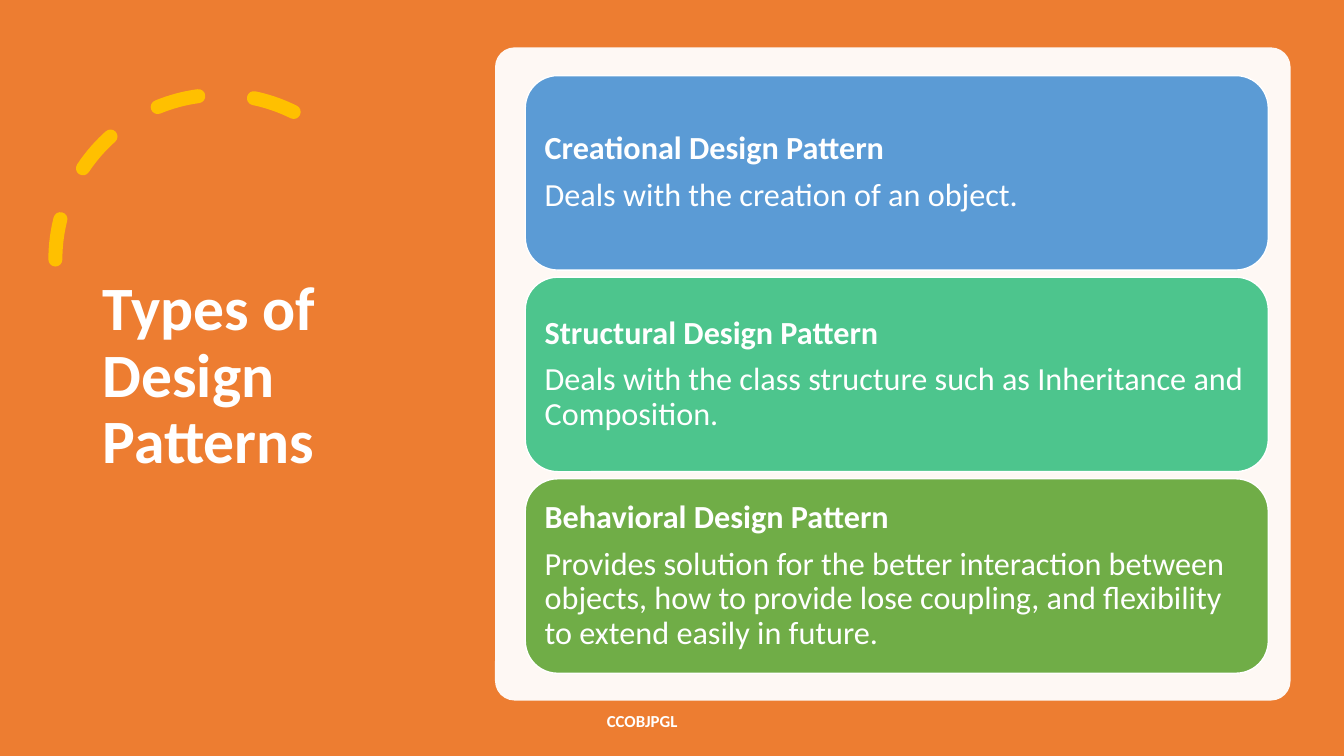
import pptx
import pptx.util
import pptx.dml.color
import pptx.enum.dml
import pptx.enum.shapes
import pptx.enum.text
import pptx.oxml
import pptx.oxml.ns
from dataclasses import dataclass

Inches, Pt = pptx.util.Inches, pptx.util.Pt
Shapes = pptx.enum.shapes.MSO_SHAPE

TITLE = "Types of Design Patterns"
FOOTER = "CCOBJPGL"
PATTERNS = [
    ("Creational Design Pattern", "Deals with the creation of an object.", "5B9BD5"),
    ("Structural Design Pattern",
     "Deals with the class structure such as Inheritance and Composition.", "4DC58D"),
    ("Behavioral Design Pattern",
     "Provides solution for the better interaction between objects, how to provide "
     "lose coupling, and flexibility to extend easily in future.", "70AD47"),
]


@dataclass(frozen=True)
class Theme:
    font: str = "Calibri"
    background: str = "ED7D31"
    accent: str = "FFC000"
    white: str = "FFFFFF"
    title_size: int = 44
    card_size: int = 23
    footer_size: int = 12


THEME = Theme()

PAGE_WIDTH, PAGE_HEIGHT = 13.33, 7.5
CARD_LEFT, CARD_TOP, CARD_WIDTH, CARD_HEIGHT = 5.21, 0.75, 7.37, 1.93
CARD_PITCH = 2.0


def color(value):
    return pptx.dml.color.RGBColor.from_string(value)


def add_filled(page, kind, place, fill):
    shape = page.shapes.add_shape(kind, *map(Inches, place))
    shape.shadow.inherit = False
    shape.fill.solid()
    shape.fill.fore_color.rgb = color(fill)
    shape.line.fill.background()
    return shape


def write(box, lines, size, line_spacing=1.0, space_after=0):
    """Fill a box with left-aligned paragraphs given as (text, bold) pairs."""
    frame = box.text_frame
    frame.word_wrap = True
    frame.vertical_anchor = pptx.enum.text.MSO_ANCHOR.MIDDLE
    for index, (text, bold) in enumerate(lines):
        para = frame.add_paragraph() if index else frame.paragraphs[0]
        para.text = text
        para.alignment = pptx.enum.text.PP_ALIGN.LEFT
        para.line_spacing = line_spacing
        para.space_after = Pt(space_after)
        para.font.name = THEME.font
        para.font.size = Pt(size)
        para.font.bold = bold
        para.font.color.rgb = color(THEME.white)


def add_dashed_arc(page):
    arc = page.shapes.add_shape(Shapes.ARC, *map(Inches, (0.55, 0.94, 3.27, 3.27)))
    arc.shadow.inherit = False
    arc.fill.background()
    arc.adjustments[0] = 146.13
    arc.adjustments[1] = 0
    arc._element.spPr.find(pptx.oxml.ns.qn("a:xfrm")).set("flipH", "1")
    arc.line.color.rgb = color(THEME.accent)
    arc.line.width = Pt(10)
    arc.line.dash_style = pptx.enum.dml.MSO_LINE.DASH
    arc.line._ln.set("cap", "rnd")


def add_panel(page):
    panel = add_filled(page, Shapes.ROUNDED_RECTANGLE, (4.91, 0.47, 7.89, 6.48), THEME.white)
    panel.adjustments[0] = 0.03
    paint = panel._element.spPr.find(".//" + pptx.oxml.ns.qn("a:srgbClr"))
    paint.append(pptx.oxml.parse_xml(
        f'<a:alpha {pptx.oxml.ns.nsdecls("a")} val="95000"/>'))


def add_card(page, index, heading, detail, fill):
    place = (CARD_LEFT, CARD_TOP + index * CARD_PITCH, CARD_WIDTH, CARD_HEIGHT)
    card = add_filled(page, Shapes.ROUNDED_RECTANGLE, place, fill)
    card.line.color.rgb = color(THEME.white)
    card.line.width = Pt(1)
    frame = card.text_frame
    frame.margin_left = frame.margin_right = Inches(0.1)
    frame.margin_top = frame.margin_bottom = Inches(0.1)
    write(card, [(heading, True), (detail, False)], THEME.card_size, 0.9, 8.5)


def main():
    deck = pptx.Presentation()
    deck.slide_width, deck.slide_height = Inches(PAGE_WIDTH), Inches(PAGE_HEIGHT)
    page = deck.slides.add_slide(deck.slide_layouts[6])

    add_filled(page, Shapes.RECTANGLE, (0, 0, PAGE_WIDTH, PAGE_HEIGHT), THEME.background)
    add_dashed_arc(page)
    title = page.shapes.add_textbox(*map(Inches, (0.92, 0.7, 3.23, 6.09)))
    write(title, [(TITLE, True)], THEME.title_size, 0.9)
    add_panel(page)
    footer = page.shapes.add_textbox(*map(Inches, (5.92, 6.95, 3, 0.4)))
    write(footer, [(FOOTER, True)], THEME.footer_size, space_after=6)
    for index, pattern in enumerate(PATTERNS):
        add_card(page, index, *pattern)

    deck.save("out.pptx")


if __name__ == "__main__":
    main()
